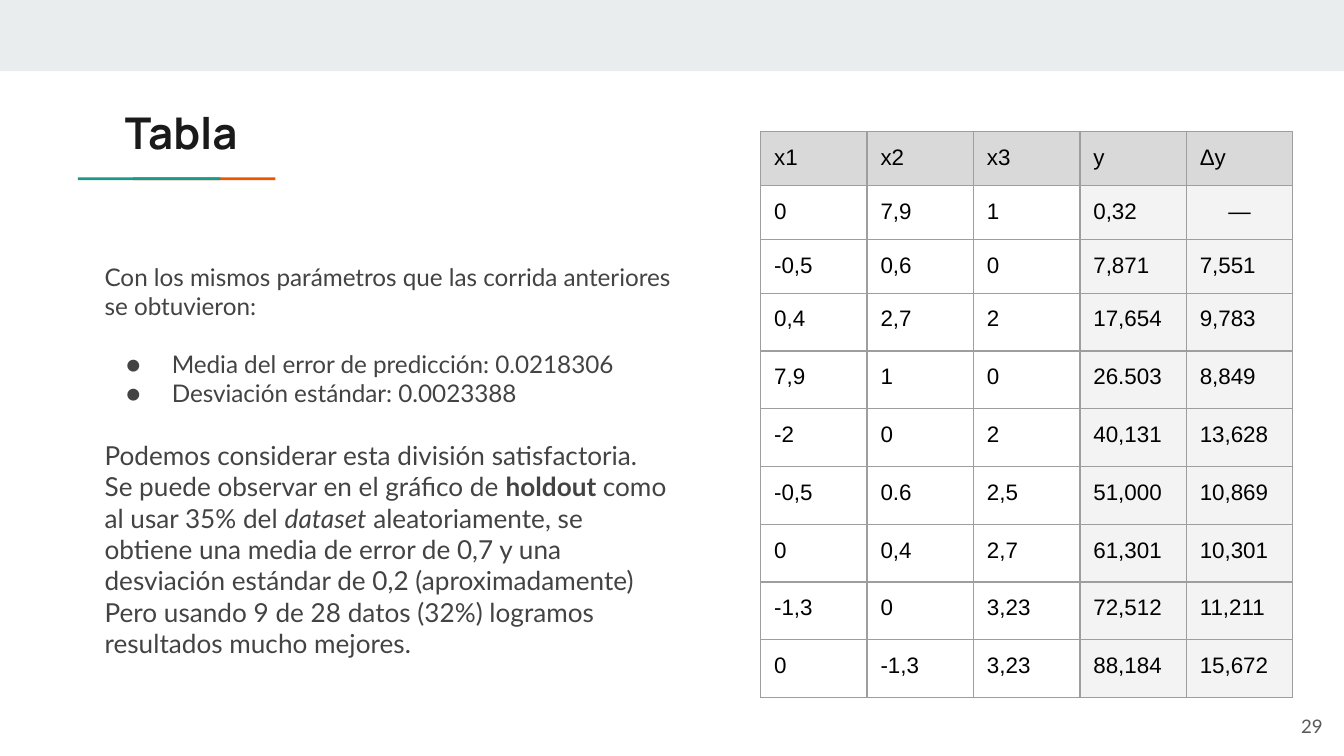
from dataclasses import dataclass

from lxml.etree import SubElement
from pptx import Presentation
from pptx.dml.color import RGBColor
from pptx.enum.shapes import MSO_SHAPE
from pptx.enum.text import MSO_ANCHOR, PP_ALIGN
from pptx.oxml.ns import qn
from pptx.util import Inches, Pt


@dataclass(frozen=True)
class Theme:
    band: str = "E9EDEE"
    orange: str = "EB5600"
    green: str = "1A9988"
    title: str = "1A1A1A"
    body: str = "434343"
    number: str = "595959"
    cell_text: str = "000000"
    header_fill: str = "D9D9D9"
    result_fill: str = "F3F3F3"
    border: str = "9E9E9E"
    title_size: float = 23.4
    intro_size: int = 13
    body_size: int = 14
    cell_size: int = 12
    number_size: int = 10


theme = Theme()


def add_text_box(left, top, width, height):
    frame = slide.shapes.add_textbox(
        Inches(left), Inches(top), Inches(width), Inches(height)
    ).text_frame
    frame.word_wrap = True
    frame.margin_left = frame.margin_right = Inches(0.1)
    frame.margin_top = frame.margin_bottom = Inches(0.1)
    return frame


def style_runs(paragraph, font_name, size, color):
    for run in paragraph.runs:
        run.font.name = font_name
        run.font.size = Pt(size)
        run.font.color.rgb = RGBColor.from_string(color)


# 16:9 slide
deck = Presentation()
deck.slide_width = Inches(10)
deck.slide_height = Inches(10 * 9 / 16)
slide = deck.slides.add_slide(deck.slide_layouts[6])

# Top band and two-colour rule under the title
for left, top, width, height, color in [
    (0, 0, 10, 0.53, theme.band),
    (0.99, 1.32, 1.06, 0.02, theme.orange),
    (0.58, 1.32, 1.06, 0.02, theme.green),
]:
    bar = slide.shapes.add_shape(
        MSO_SHAPE.RECTANGLE, Inches(left), Inches(top), Inches(width), Inches(height)
    )
    bar.shadow.inherit = False
    bar.fill.solid()
    bar.fill.fore_color.rgb = RGBColor.from_string(color)
    bar.line.fill.background()

# Slide number
number = add_text_box(9.34, 5.19, 0.6, 0.43)
number.vertical_anchor = MSO_ANCHOR.MIDDLE
number.text = "29"
number.paragraphs[0].alignment = PP_ALIGN.RIGHT
style_runs(number.paragraphs[0], "Lato", theme.number_size, theme.number)

# Explanation: (pieces with emphasis, size, space before, bulleted)
explanation = [
    ([("Con los mismos parámetros que las corrida anteriores se obtuvieron:", "")],
     theme.intro_size, 0, False),
    ([("Media del error de predicción: 0.0218306", "")], theme.intro_size, 15.6, True),
    ([("Desviación estándar: 0.0023388", "")], theme.intro_size, 0, True),
    ([("Podemos considerar esta división satisfactoria. "
       "Se puede observar en el gráfico de ", ""),
      ("holdout ", "bold"),
      ("como al usar 35% del ", ""),
      ("dataset", "italic"),
      (" aleatoriamente, se obtiene una media de error de 0,7 y una "
       "desviación estándar de 0,2 (aproximadamente)", "")],
     theme.body_size, 16.8, False),
    ([("Pero usando 9 de 28 datos (32%) logramos resultados mucho mejores.", "")],
     theme.body_size, 0, False),
]
body = add_text_box(0.68, 1.85, 4.41, 3.42)
for index, (pieces, size, space_before, bulleted) in enumerate(explanation):
    paragraph = body.add_paragraph() if index else body.paragraphs[0]
    paragraph.space_before = Pt(space_before)
    if bulleted:
        properties = paragraph._p.get_or_add_pPr()
        properties.set("marL", str(Inches(0.5)))
        properties.set("indent", str(-Inches(0.34)))
        bullet_color = SubElement(properties, qn("a:buClr"))
        SubElement(bullet_color, qn("a:srgbClr"), val=theme.body)
        SubElement(properties, qn("a:buFont"), typeface="Lato")
        SubElement(properties, qn("a:buChar"), char="●")
    for words, emphasis in pieces:
        run = paragraph.add_run()
        run.text = words
        run.font.bold = emphasis == "bold"
        run.font.italic = emphasis == "italic"
    style_runs(paragraph, "Lato", size, theme.body)

# Results table
results = [
    ["x1", "x2", "x3", "y", "Δy"],
    ["0", "7,9", "1", "0,32", "—"],
    ["-0,5", "0,6", "0", "7,871", "7,551"],
    ["0,4", "2,7", "2", "17,654", "9,783"],
    ["7,9", "1", "0", "26.503", "8,849"],
    ["-2", "0", "2", "40,131", "13,628"],
    ["-0,5", "0.6", "2,5", "51,000", "10,869"],
    ["0", "0,4", "2,7", "61,301", "10,301"],
    ["-1,3", "0", "3,23", "72,512", "11,211"],
    ["0", "-1,3", "3,23", "88,184", "15,672"],
]
row_heights = [0.4] * 3 + [0.43] * 7
table = slide.shapes.add_table(
    len(results), len(results[0]),
    Inches(5.66), Inches(0.98), Inches(3.96), Inches(sum(row_heights)),
).table
table.first_row = table.horz_banding = False
for row, height in zip(table.rows, row_heights):
    row.height = Inches(height)

for row_index, values in enumerate(results):
    for column_index, value in enumerate(values):
        cell = table.cell(row_index, column_index)
        cell.margin_left = cell.margin_right = Inches(0.1)
        cell.margin_top = cell.margin_bottom = Inches(0.1)
        cell.text_frame.text = value
        paragraph = cell.text_frame.paragraphs[0]
        style_runs(paragraph, "Arial", theme.cell_size, theme.cell_text)
        if value == "—":
            paragraph.alignment = PP_ALIGN.CENTER

        cell_properties = cell._tc.get_or_add_tcPr()
        for side in ("a:lnL", "a:lnR", "a:lnT", "a:lnB"):
            border = SubElement(cell_properties, qn(side), w=str(Pt(0.75)))
            border_fill = SubElement(border, qn("a:solidFill"))
            SubElement(border_fill, qn("a:srgbClr"), val=theme.border)

        if row_index == 0 or column_index >= 3:
            fill = theme.result_fill if row_index else theme.header_fill
            cell.fill.solid()
            cell.fill.fore_color.rgb = RGBColor.from_string(fill)
        else:
            cell.fill.background()

# Title
title = add_text_box(0.83, 0.69, 8.41, 0.59)
title.text = "Tabla"
style_runs(title.paragraphs[0], "Manrope", theme.title_size, theme.title)
title.paragraphs[0].runs[0].font.bold = True

deck.save("out.pptx")
